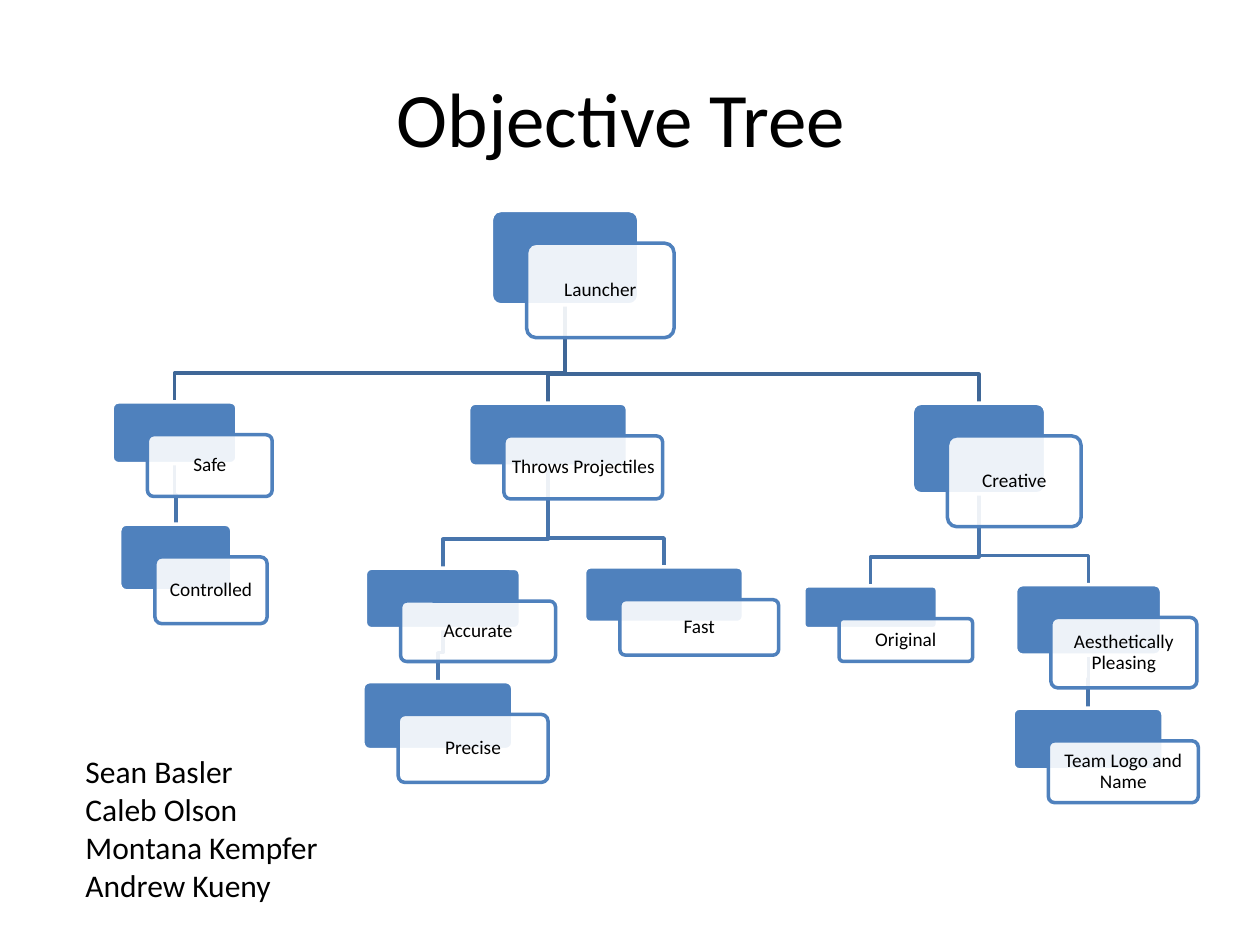
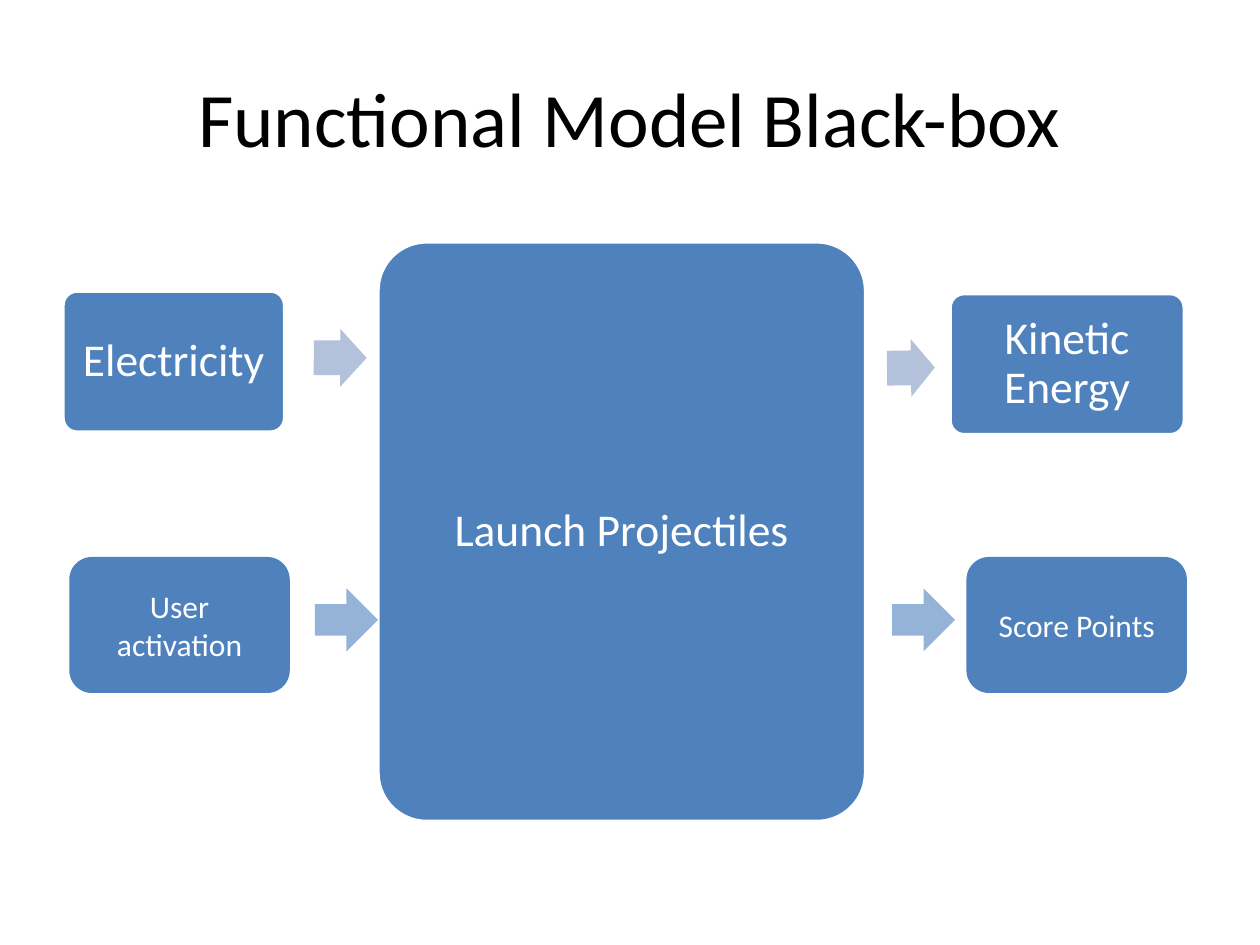
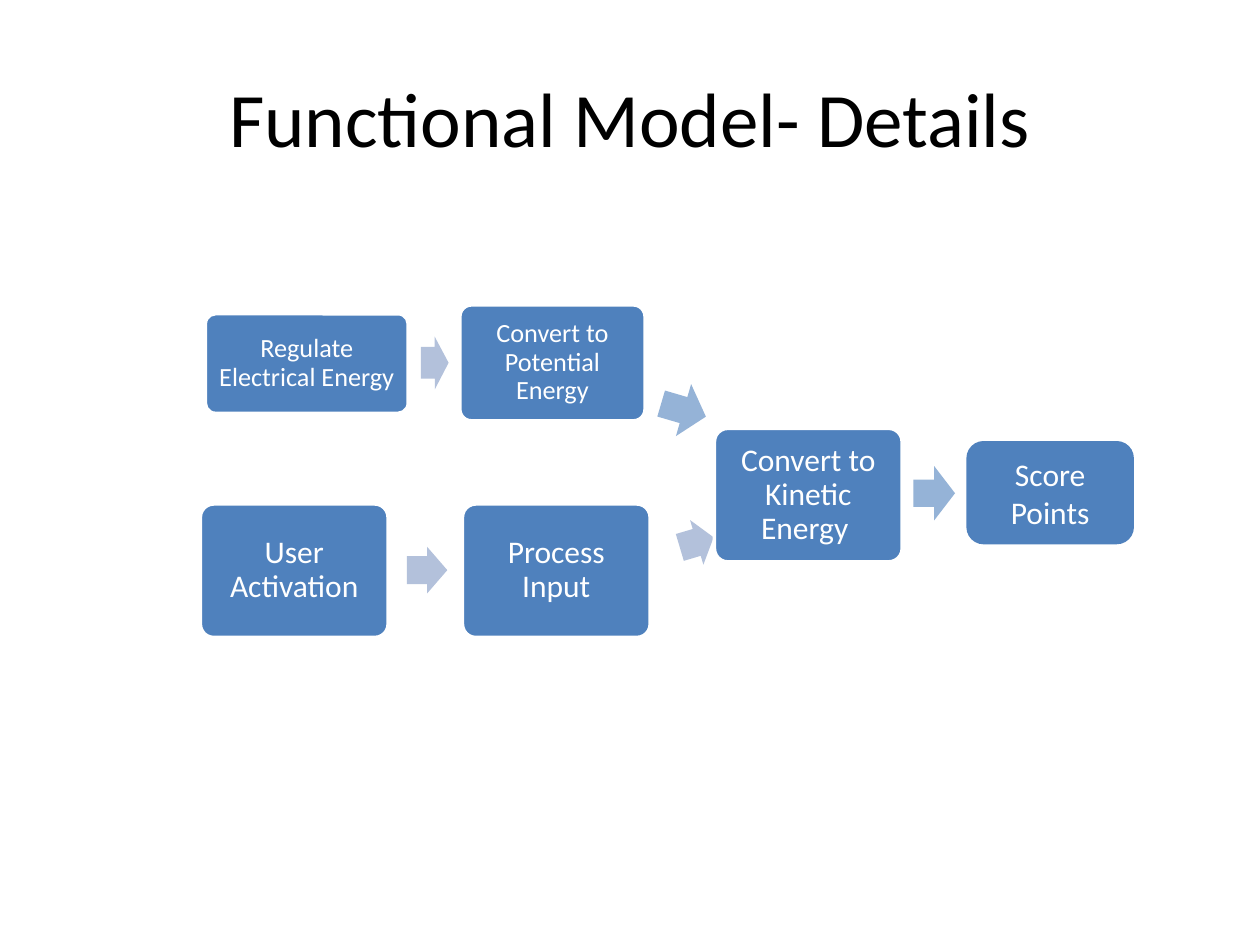
from typing import NamedTuple, Optional

import pptx
import pptx.dml.color
import pptx.enum.shapes
import pptx.enum.text
import pptx.oxml.ns
import pptx.presentation
import pptx.shapes.autoshape
import pptx.slide
import pptx.util
from lxml import etree

Inches = pptx.util.Inches
Pt = pptx.util.Pt
RGBColor = pptx.dml.color.RGBColor
MSO_SHAPE = pptx.enum.shapes.MSO_SHAPE
PP_ALIGN = pptx.enum.text.PP_ALIGN
MSO_ANCHOR = pptx.enum.text.MSO_ANCHOR

FONT = "Calibri"
BLACK = RGBColor(0x00, 0x00, 0x00)
WHITE = RGBColor(0xFF, 0xFF, 0xFF)
BLUE = RGBColor(0x4F, 0x81, 0xBD)
ROOT_LINK = RGBColor(0x3F, 0x67, 0x97)
BRANCH_LINK = RGBColor(0x48, 0x75, 0xAC)
PALE_ARROW = RGBColor(0xB3, 0xC1, 0xDB)
BRIGHT_ARROW = RGBColor(0x95, 0xB3, 0xD7)

LINE_WIDTH = Pt(2)
CARD_SHIFT_X, CARD_SHIFT_Y = 0.28, 0.26
ELBOW_RISE = 0.23
CARD_TEXT_SIZE = 11


class Box(NamedTuple):
    """A rectangle in inches."""
    left: float
    top: float
    width: float
    height: float


class Objective(NamedTuple):
    """A node of the objective tree; box is its rear card."""
    label: str
    box: Box
    parent: Optional[str] = None


class Block(NamedTuple):
    """A function in a flow; outlined blocks have tight text and small corners."""
    label: str
    box: Box
    size: int
    outlined: bool = True


class Arrow(NamedTuple):
    """A right arrow; broad ones have a thick shaft and a pale fill."""
    box: Box
    broad: bool = True
    rotation: float = 0


OBJECTIVES = [
    Objective("Launcher", Box(3.9, 1.67, 1.17, 0.75)),
    Objective("Safe", Box(0.89, 3.19, 0.99, 0.49), "Launcher"),
    Objective("Controlled", Box(0.95, 4.16, 0.89, 0.53), "Safe"),
    Objective("Throws Projectiles", Box(3.72, 3.2, 1.26, 0.5), "Launcher"),
    Objective("Accurate", Box(2.9, 4.51, 1.23, 0.48), "Throws Projectiles"),
    Objective("Precise", Box(2.88, 5.41, 1.19, 0.54), "Accurate"),
    Objective("Fast", Box(4.64, 4.5, 1.26, 0.44), "Throws Projectiles"),
    Objective("Creative", Box(7.24, 3.2, 1.06, 0.72), "Launcher"),
    Objective("Original", Box(6.38, 4.65, 1.06, 0.34), "Creative"),
    Objective("Aesthetically Pleasing", Box(8.06, 4.64, 1.16, 0.56), "Creative"),
    Objective("Team Logo and Name", Box(8.04, 5.62, 1.19, 0.49),
              "Aesthetically Pleasing"),
]
TEAM = ["Sean Basler", "Caleb Olson", "Montana Kempfer", "Andrew Kueny"]

BLACK_BOX_FLOW = [
    Block("Electricity", Box(0.5, 2.31, 1.76, 1.12), 26),
    Arrow(Box(2.49, 2.61, 0.42, 0.46), rotation=0.2),
    Block("Launch Projectiles", Box(3, 1.92, 3.87, 4.6), 26),
    Arrow(Box(7.04, 2.69, 0.38, 0.46), rotation=359.2),
    Block("Kinetic Energy", Box(7.54, 2.33, 1.86, 1.12), 26),
    Block("User activation", Box(0.55, 4.42, 1.75, 1.08), 18, outlined=False),
    Arrow(Box(2.5, 4.67, 0.5, 0.5), broad=False),
    Block("Score Points", Box(7.67, 4.42, 1.75, 1.08), 18, outlined=False),
    Arrow(Box(7.08, 4.67, 0.5, 0.5), broad=False),
]
DETAILED_FLOW = [
    Block("Regulate Electrical Energy", Box(1.63, 2.49, 1.61, 0.79), 15),
    Arrow(Box(3.34, 2.67, 0.22, 0.42), rotation=359.7),
    Block("Convert to Potential Energy", Box(3.65, 2.42, 1.47, 0.92), 15),
    Block("User Activation", Box(1.59, 4, 1.49, 1.06), 18),
    Arrow(Box(3.23, 4.34, 0.32, 0.37)),
    Block("Process Input", Box(3.67, 4, 1.49, 1.06), 18),
    Arrow(Box(5.39, 4.12, 0.28, 0.37), rotation=343.4),
    Block("Convert to Kinetic Energy ", Box(5.67, 3.4, 1.49, 1.06), 18),
    Arrow(Box(5.24, 3.04, 0.37, 0.43), broad=False, rotation=16.3),
    Arrow(Box(7.25, 3.7, 0.33, 0.43), broad=False),
    Block("Score Points", Box(7.67, 3.5, 1.33, 0.82), 18, outlined=False),
]


def write(frame, lines: list[str], size: int, color: RGBColor,
          align: PP_ALIGN = PP_ALIGN.CENTER) -> None:
    """Fill a text frame with one paragraph per line."""
    frame.word_wrap = True
    frame.text = "\n".join(lines)
    for paragraph in frame.paragraphs:
        paragraph.alignment = align
        paragraph.font.name = FONT
        paragraph.font.size = Pt(size)
        paragraph.font.color.rgb = color


def write_tight(frame, label: str, size: int, color: RGBColor) -> None:
    """Write a centred label with close lines and margins that follow its size."""
    write(frame, [label], size, color)
    frame.vertical_anchor = MSO_ANCHOR.MIDDLE
    frame.paragraphs[0].line_spacing = 0.9
    margin = Pt(size * 0.25)
    frame.margin_left = frame.margin_right = margin
    frame.margin_top = frame.margin_bottom = margin


def add_text(slide: pptx.slide.Slide, box: Box):
    """Add an empty text box and return its text frame."""
    return slide.shapes.add_textbox(*map(Inches, box)).text_frame


def add_filled(slide: pptx.slide.Slide, kind: MSO_SHAPE, box: Box, fill: RGBColor,
               line: Optional[RGBColor] = None) -> pptx.shapes.autoshape.Shape:
    """Add a preset shape with a solid fill and an optional outline."""
    shape = slide.shapes.add_shape(kind, *map(Inches, box))
    shape.shadow.inherit = False
    shape.fill.solid()
    shape.fill.fore_color.rgb = fill
    if line is None:
        shape.line.fill.background()
    else:
        shape.line.color.rgb = line
        shape.line.width = LINE_WIDTH
    return shape


def add_card(slide: pptx.slide.Slide, box: Box, fill: RGBColor,
             line: RGBColor) -> pptx.shapes.autoshape.Shape:
    """Add an outlined rounded rectangle with small corners."""
    card = add_filled(slide, MSO_SHAPE.ROUNDED_RECTANGLE, box, fill, line)
    card.adjustments[0] = 0.1
    return card


def add_link(slide: pptx.slide.Slide, parent: Box, child: Box,
             color: RGBColor) -> None:
    """Draw an elbow line from the foot of a parent card to the top of its child."""
    start_x = parent.left + parent.width / 2
    end_x = child.left + child.width / 2
    elbow_y = child.top - ELBOW_RISE
    corners = [(start_x, elbow_y), (end_x, elbow_y), (end_x, child.top)]
    builder = slide.shapes.build_freeform(
        Inches(start_x), Inches(parent.top + parent.height))
    builder.add_line_segments([(Inches(x), Inches(y)) for x, y in corners],
                              close=False)
    link = builder.convert_to_shape()
    link.shadow.inherit = False
    link.fill.background()
    link.line.color.rgb = color
    link.line.width = LINE_WIDTH


def add_objective(slide: pptx.slide.Slide, objective: Objective) -> None:
    """Draw a blue rear card and a translucent labelled card in front of it."""
    rear = objective.box
    add_card(slide, rear, BLUE, WHITE)
    front = add_card(slide, rear._replace(left=rear.left + CARD_SHIFT_X,
                                          top=rear.top + CARD_SHIFT_Y), WHITE, BLUE)
    qn = pptx.oxml.ns.qn
    fill_color = front._element.spPr.find(qn("a:solidFill")).find(qn("a:srgbClr"))
    etree.SubElement(fill_color, qn("a:alpha")).set("val", "90000")
    write_tight(front.text_frame, objective.label, CARD_TEXT_SIZE, BLACK)


def add_tree(slide: pptx.slide.Slide, objectives: list[Objective]) -> None:
    """Draw all links of the tree, then its cards on top."""
    by_label = {objective.label: objective for objective in objectives}
    for objective in reversed(objectives):
        if objective.parent:
            parent = by_label[objective.parent]
            color = BRANCH_LINK if parent.parent else ROOT_LINK
            add_link(slide, parent.box, objective.box, color)
    for objective in objectives:
        add_objective(slide, objective)


def add_block(slide: pptx.slide.Slide, block: Block) -> None:
    """Draw one function of a flow."""
    if block.outlined:
        card = add_card(slide, block.box, BLUE, WHITE)
        write_tight(card.text_frame, block.label, block.size, WHITE)
    else:
        plain = add_filled(slide, MSO_SHAPE.ROUNDED_RECTANGLE, block.box, BLUE)
        write(plain.text_frame, [block.label], block.size, WHITE)
        plain.text_frame.vertical_anchor = MSO_ANCHOR.MIDDLE


def add_arrow(slide: pptx.slide.Slide, arrow: Arrow) -> None:
    """Draw one arrow of a flow."""
    color = PALE_ARROW if arrow.broad else BRIGHT_ARROW
    shape = add_filled(slide, MSO_SHAPE.RIGHT_ARROW, arrow.box, color)
    shape.rotation = arrow.rotation
    if arrow.broad:
        shape.adjustments[0] = 0.6


def add_flow(slide: pptx.slide.Slide, steps: list[Block | Arrow]) -> None:
    """Draw the blocks and arrows of a flow in order."""
    for step in steps:
        if isinstance(step, Block):
            add_block(slide, step)
        else:
            add_arrow(slide, step)


def add_titled_slide(deck: pptx.presentation.Presentation,
                     title: str) -> pptx.slide.Slide:
    """Add a blank slide with a large centred title."""
    slide = deck.slides.add_slide(deck.slide_layouts[6])
    heading = add_text(slide, Box(0.5, 0.3, 9, 1.25))
    write(heading, [title], 44, BLACK)
    heading.vertical_anchor = MSO_ANCHOR.MIDDLE
    return slide


def main() -> None:
    """Build the three slides and save them."""
    deck = pptx.Presentation()
    deck.slide_width, deck.slide_height = Inches(10), Inches(7.5)

    tree_slide = add_titled_slide(deck, "Objective Tree ")
    add_tree(tree_slide, OBJECTIVES)
    write(add_text(tree_slide, Box(0.58, 5.92, 2.08, 1.31)), TEAM, 18, BLACK,
          PP_ALIGN.LEFT)

    add_flow(add_titled_slide(deck, "Functional Model Black-box"), BLACK_BOX_FLOW)
    add_flow(add_titled_slide(deck, "Functional Model- Details"), DETAILED_FLOW)
    deck.save("out.pptx")


main()
